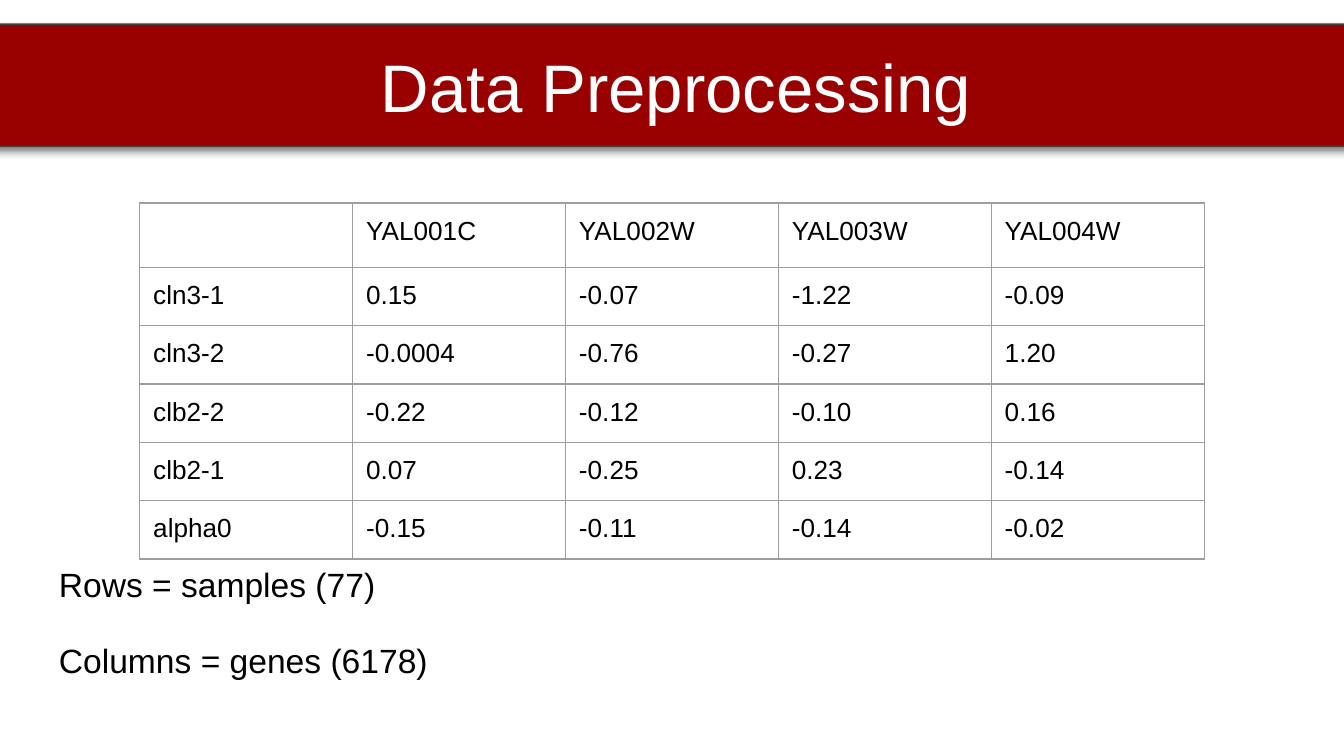
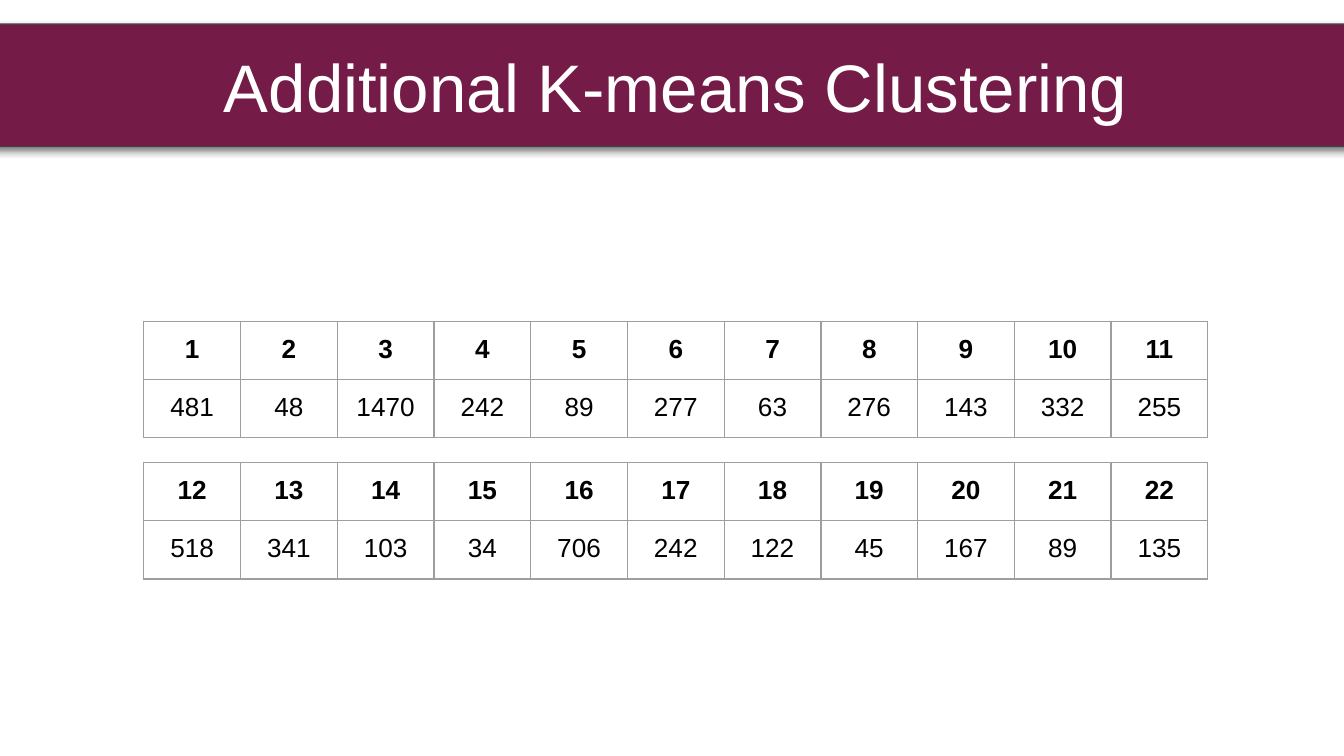
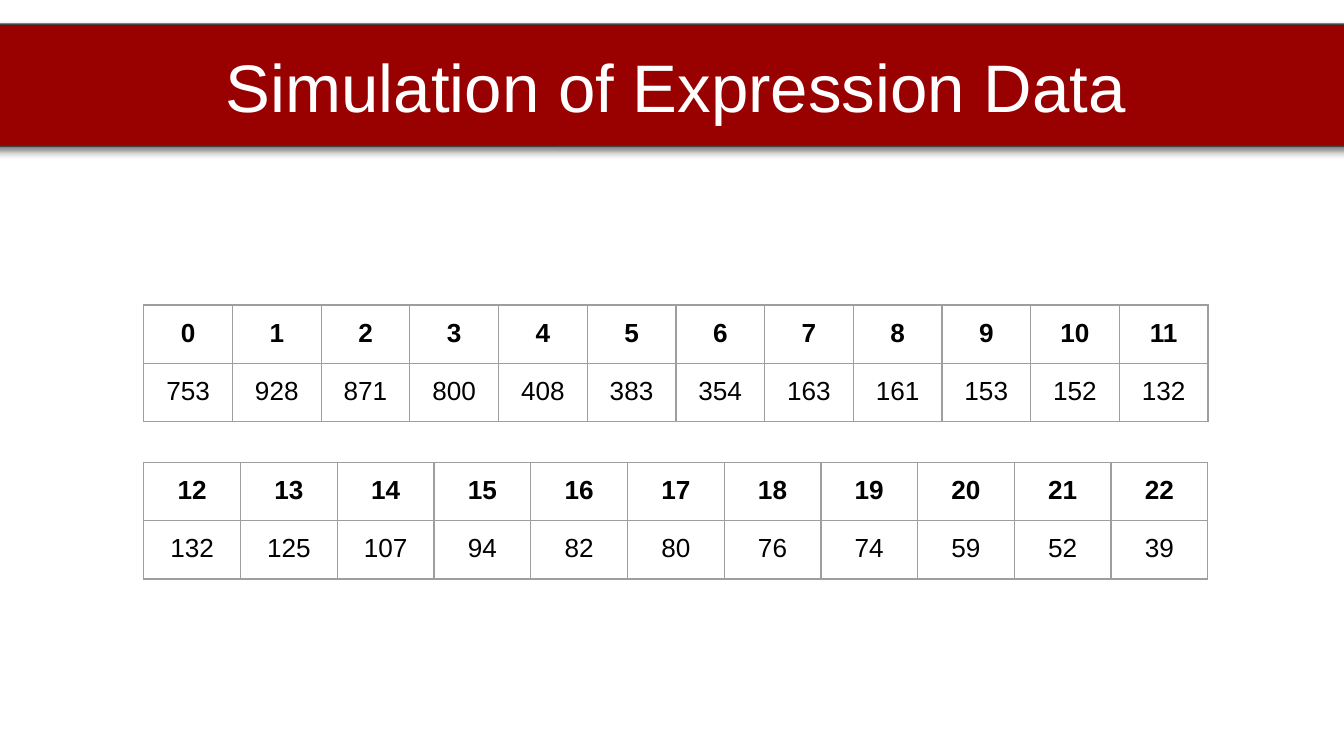
import lxml.etree
import pptx
import pptx.dml.color
import pptx.enum.shapes
import pptx.enum.text
import pptx.oxml.ns
import pptx.util

Inches = pptx.util.Inches
Pt = pptx.util.Pt
ALIGN = pptx.enum.text.PP_ALIGN
ANCHOR = pptx.enum.text.MSO_ANCHOR
qn = pptx.oxml.ns.qn

COLORS = {
    "red": "990000",
    "plum": "741B47",
    "band_line": "434343",
    "grid": "9E9E9E",
    "text": "000000",
    "title": "FFFFFF",
}
FONT = "Arial"
INSET = Inches(0.1)
SLIDE_WIDTH = 10
TABLE_WIDTH = 7.92
CLUSTER_LEFT = 1.07
CLUSTER_ROWS = [0.43, 0.43]

EXPRESSION = [
    ["", "YAL001C", "YAL002W", "YAL003W", "YAL004W"],
    ["cln3-1", "0.15", "-0.07", "-1.22", "-0.09"],
    ["cln3-2", "-0.0004", "-0.76", "-0.27", "1.20"],
    ["clb2-2", "-0.22", "-0.12", "-0.10", "0.16"],
    ["clb2-1", "0.07", "-0.25", "0.23", "-0.14"],
    ["alpha0", "-0.15", "-0.11", "-0.14", "-0.02"],
]
EXPRESSION_ROWS = [0.48, 0.42, 0.43, 0.42, 0.42, 0.42]

# Each group: top edge, first cluster number, cluster sizes
KMEANS_GROUPS = [
    (2.39, 1, [481, 48, 1470, 242, 89, 277, 63, 276, 143, 332, 255]),
    (3.44, 12, [518, 341, 103, 34, 706, 242, 122, 45, 167, 89, 135]),
]
SIMULATION_GROUPS = [
    (2.27, 0, [753, 928, 871, 800, 408, 383, 354, 163, 161, 153, 152, 132]),
    (3.44, 12, [132, 125, 107, 94, 82, 80, 76, 74, 59, 52, 39]),
]


def rgb(name):
    return pptx.dml.color.RGBColor.from_string(COLORS[name])


def set_insets(holder):
    holder.margin_left = holder.margin_right = INSET
    holder.margin_top = holder.margin_bottom = INSET


def write(paragraph, text, size, color="text", align=ALIGN.LEFT, bold=False):
    paragraph.text = text
    paragraph.alignment = align
    font = paragraph.font
    font.name, font.size, font.bold = FONT, Pt(size), bold
    font.color.rgb = rgb(color)
    # The paragraph mark takes the same font, so it does not stretch the line
    mark = lxml.etree.SubElement(paragraph._p, qn("a:endParaRPr"), sz=str(size * 100))
    lxml.etree.SubElement(mark, qn("a:latin"), typeface=FONT)


def add_shadow(shape):
    shape.shadow.inherit = False
    effects = shape._element.spPr.find(qn("a:effectLst"))
    shadow = lxml.etree.SubElement(
        effects, qn("a:outerShdw"), blurRad=str(Pt(4.5)), dist=str(Pt(1.5)),
        dir="5400000", algn="bl", rotWithShape="0")
    black = lxml.etree.SubElement(shadow, qn("a:srgbClr"), val=COLORS["text"])
    lxml.etree.SubElement(black, qn("a:alpha"), val="50000")


def add_title_band(slide, title, color):
    band = slide.shapes.add_shape(
        pptx.enum.shapes.MSO_SHAPE.ROUNDED_RECTANGLE,
        Inches(-0.27), Inches(0.18), Inches(10.6), Inches(0.91))
    add_shadow(band)
    band.fill.solid()
    band.fill.fore_color.rgb = rgb(color)
    band.line.color.rgb = rgb("band_line")
    band.line.width = Pt(0.75)
    frame = band.text_frame
    frame.word_wrap = True
    frame.vertical_anchor = ANCHOR.MIDDLE
    set_insets(frame)
    write(frame.paragraphs[0], title, 36, "title", ALIGN.CENTER)


def add_borders(cell):
    properties = cell._tc.get_or_add_tcPr()
    for side in ("lnL", "lnR", "lnT", "lnB"):
        border = lxml.etree.SubElement(properties, qn(f"a:{side}"), w=str(Pt(0.75)))
        fill = lxml.etree.SubElement(border, qn("a:solidFill"))
        lxml.etree.SubElement(fill, qn("a:srgbClr"), val=COLORS["grid"])


def add_grid(slide, left, top, rows, heights, align=ALIGN.LEFT, bold_header=False):
    columns = len(rows[0])
    grid = slide.shapes.add_table(
        len(rows), columns, Inches(left), Inches(top),
        Inches(TABLE_WIDTH), Inches(sum(heights))).table
    grid.first_row = grid.horz_banding = False
    for column in grid.columns:
        column.width = Inches(TABLE_WIDTH / columns)
    for r, (values, height) in enumerate(zip(rows, heights)):
        grid.rows[r].height = Inches(height)
        for c, value in enumerate(values):
            cell = grid.cell(r, c)
            set_insets(cell)
            add_borders(cell)
            cell.fill.background()
            write(cell.text_frame.paragraphs[0], value, 14, align=align,
                  bold=bold_header and r == 0)


def add_dimensions(slide, left, top, width, height, lines):
    frame = slide.shapes.add_textbox(
        Inches(left), Inches(top), Inches(width), Inches(height)).text_frame
    frame.word_wrap = True
    frame.vertical_anchor = ANCHOR.BOTTOM
    set_insets(frame)
    for i, line in enumerate(lines):
        paragraph = frame.add_paragraph() if i else frame.paragraphs[0]
        write(paragraph, line, 18)
        paragraph.line_spacing = 1.15
        paragraph.space_before = Pt(16 if i else 0)


def new_slide(deck, title, color):
    slide = deck.slides.add_slide(deck.slide_layouts[6])
    add_title_band(slide, title, color)
    return slide


def preprocessing_slide(deck):
    slide = new_slide(deck, "Data Preprocessing", "red")
    add_dimensions(slide, 0.34, 1.26, 9.32, 3.9,
                   ["Rows = samples (77)", "Columns = genes (6178)"])
    add_grid(slide, 1.04, 1.51, EXPRESSION, EXPRESSION_ROWS)


def cluster_slide(deck, title, color, groups):
    slide = new_slide(deck, title, color)
    for top, first, sizes in groups:
        numbers = [str(first + i) for i in range(len(sizes))]
        rows = [numbers, [str(size) for size in sizes]]
        add_grid(slide, CLUSTER_LEFT, top, rows, CLUSTER_ROWS, ALIGN.CENTER, True)


def main():
    deck = pptx.Presentation()
    # Widescreen, 16:9
    deck.slide_width = Inches(SLIDE_WIDTH)
    deck.slide_height = Inches(SLIDE_WIDTH * 9 / 16)
    preprocessing_slide(deck)
    cluster_slide(deck, "Additional K-means Clustering", "plum", KMEANS_GROUPS)
    cluster_slide(deck, "Simulation of Expression Data", "red", SIMULATION_GROUPS)
    deck.save("out.pptx")


if __name__ == "__main__":
    main()
